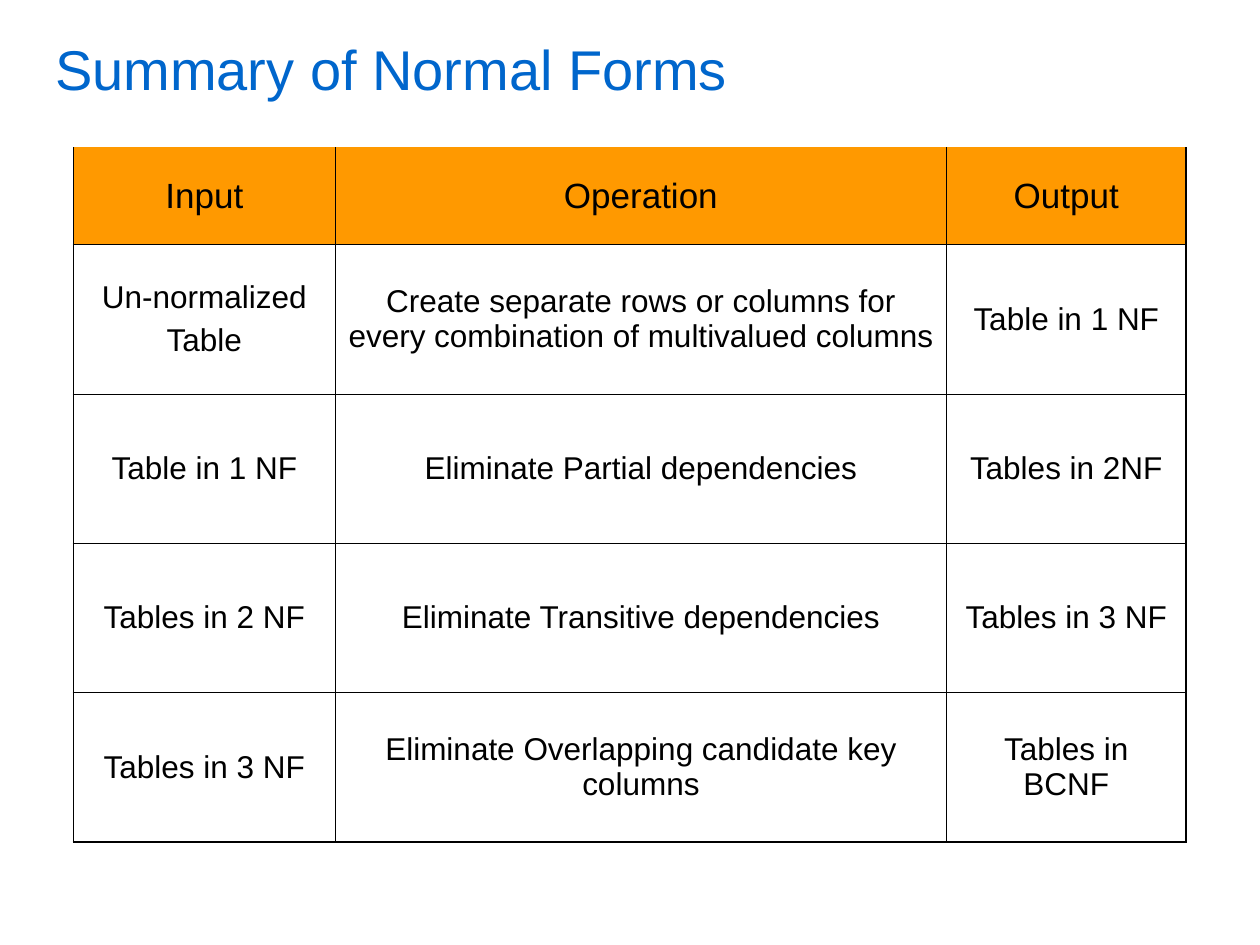
from dataclasses import dataclass

from lxml.etree import SubElement
from pptx import Presentation
from pptx.dml.color import RGBColor
from pptx.enum.text import MSO_ANCHOR, PP_ALIGN
from pptx.oxml.ns import qn
from pptx.util import Cm, Pt


@dataclass(frozen=True)
class Theme:
    font: str = "Arial"
    title_color: str = "0066CC"
    text_color: str = "000000"
    header_fill: str = "FF9900"
    border_color: str = "000000"
    title_size: float = 32
    header_size: float = 20
    body_size: float = 18
    inner_border: float = 0.45
    outer_border: float = 1.08


THEME = Theme()
COLUMN_WIDTHS = (5.28, 12.32, 4.83)
HEADER_HEIGHT = 1.96
ROW_HEIGHT = 3.01
ROWS = (
    ("Input", "Operation", "Output"),
    (
        "Un-normalized\nTable",
        "Create separate rows or columns for every combination of multivalued columns",
        "Table in 1 NF",
    ),
    ("Table in 1 NF", "Eliminate Partial dependencies", "Tables in 2NF"),
    ("Tables in 2 NF", "Eliminate Transitive dependencies", "Tables in 3 NF"),
    ("Tables in 3 NF", "Eliminate Overlapping candidate key columns", "Tables in BCNF"),
)


def add_run(para, text, size, color):
    span = para.add_run()
    span.text = text
    span.font.name = THEME.font
    span.font.size = Pt(size)
    span.font.color.rgb = RGBColor.from_string(color)


def add_title(page, text):
    box = page.shapes.add_textbox(Cm(0.86), Cm(0.66), Cm(23.83), Cm(1.42))
    frame = box.text_frame
    frame.word_wrap = True
    frame.vertical_anchor = MSO_ANCHOR.MIDDLE
    add_run(frame.paragraphs[0], text, THEME.title_size, THEME.title_color)


def set_border(cell, side, width):
    properties = cell._tc.get_or_add_tcPr()
    line = SubElement(properties, qn(f"a:ln{side}"), w=str(Pt(width)))
    if width:
        fill = SubElement(line, qn("a:solidFill"))
        SubElement(fill, qn("a:srgbClr"), val=THEME.border_color)
    else:
        SubElement(line, qn("a:noFill"))


def set_borders(cell, row, column):
    inner, outer = THEME.inner_border, THEME.outer_border
    set_border(cell, "L", outer if column == 0 else inner)
    set_border(cell, "R", outer if column == len(COLUMN_WIDTHS) - 1 else inner)
    set_border(cell, "T", 0 if row == 0 else inner)
    set_border(cell, "B", outer if row == len(ROWS) - 1 else inner)


def fill_cell(cell, text, is_header):
    size = THEME.header_size if is_header else THEME.body_size
    cell.vertical_anchor = MSO_ANCHOR.MIDDLE
    if is_header:
        cell.fill.solid()
        cell.fill.fore_color.rgb = RGBColor.from_string(THEME.header_fill)
    else:
        cell.fill.background()
    frame = cell.text_frame
    for index, line in enumerate(text.split("\n")):
        para = frame.add_paragraph() if index else frame.paragraphs[0]
        para.alignment = PP_ALIGN.CENTER
        para.space_before = Pt(size / 4)
        add_run(para, line, size, THEME.text_color)


def add_forms_table(page):
    heights = [HEADER_HEIGHT] + [ROW_HEIGHT] * (len(ROWS) - 1)
    table = page.shapes.add_table(
        len(ROWS), len(COLUMN_WIDTHS), Cm(1.48), Cm(2.97),
        Cm(sum(COLUMN_WIDTHS)), Cm(sum(heights)),
    ).table
    table.horz_banding = False
    table.first_row = False
    for column, width in zip(table.columns, COLUMN_WIDTHS):
        column.width = Cm(width)
    for row, height in zip(table.rows, heights):
        row.height = Cm(height)
    for row, texts in enumerate(ROWS):
        for column, text in enumerate(texts):
            cell = table.cell(row, column)
            set_borders(cell, row, column)
            fill_cell(cell, text, is_header=row == 0)


def main():
    deck = Presentation()
    deck.slide_width, deck.slide_height = Cm(25.4), Cm(19.05)
    page = deck.slides.add_slide(deck.slide_layouts[6])
    add_title(page, "Summary of Normal Forms")
    add_forms_table(page)
    deck.save("out.pptx")


if __name__ == "__main__":
    main()
